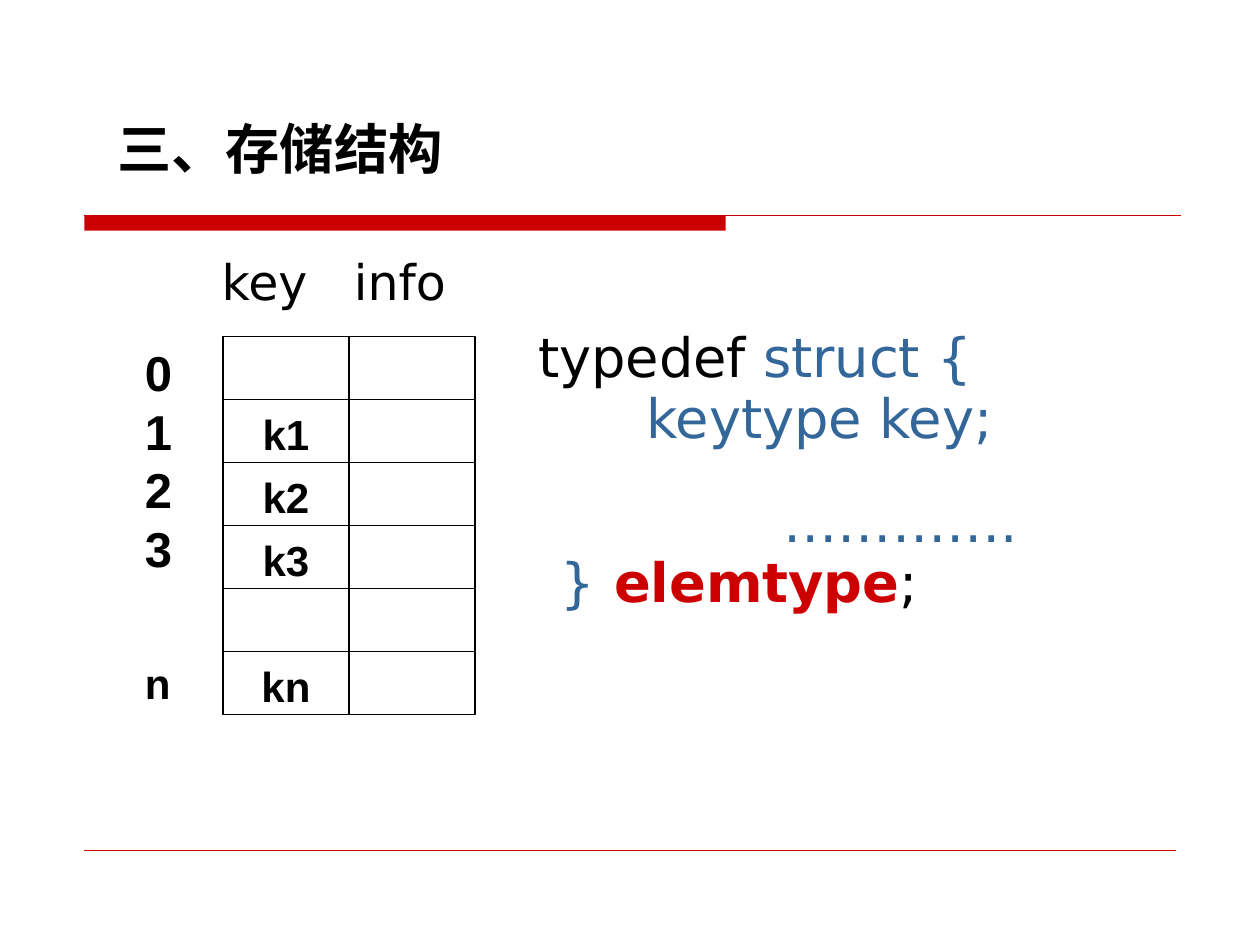
from dataclasses import dataclass

from lxml.etree import SubElement
from pptx import Presentation
from pptx.dml.color import RGBColor
from pptx.enum.shapes import MSO_CONNECTOR, MSO_SHAPE
from pptx.enum.text import MSO_ANCHOR, MSO_AUTO_SIZE, PP_ALIGN
from pptx.oxml.ns import qn
from pptx.util import Inches, Pt


@dataclass(frozen=True)
class Theme:
    black: RGBColor = RGBColor(0, 0, 0)
    white: RGBColor = RGBColor(255, 255, 255)
    red: RGBColor = RGBColor(0xCC, 0, 0)
    blue: RGBColor = RGBColor(0x33, 0x66, 0x99)
    sans: str = "DejaVu Sans"
    arial: str = "Arial"
    title: int = 31
    code: int = 31
    head: int = 28
    cell: int = 24


THEME = Theme()


def style(run, size, color=THEME.black, name=THEME.sans, bold=False):
    font = run.font
    font.size, font.name, font.bold = Pt(size), name, bold
    font.color.rgb = color


def place(shape, left, top, width, height):
    shape.left, shape.top = Inches(left), Inches(top)
    shape.width, shape.height = Inches(width), Inches(height)


def clear(frame, anchor=MSO_ANCHOR.TOP):
    frame.margin_left = frame.margin_right = 0
    frame.margin_top = frame.margin_bottom = 0
    frame.word_wrap = True
    frame.auto_size = MSO_AUTO_SIZE.NONE
    frame.vertical_anchor = anchor


def indent(para, left):
    props = para._p.get_or_add_pPr()
    props.set("marL", str(Inches(left)))
    props.set("indent", "0")
    SubElement(props, qn("a:buNone"))


def add_title(slide, text):
    title = slide.shapes.title
    place(title, 0.93, 0.9, 8.4, 0.55)
    frame = title.text_frame
    clear(frame, MSO_ANCHOR.MIDDLE)
    frame.text = text
    para = frame.paragraphs[0]
    para.alignment = PP_ALIGN.LEFT
    style(para.runs[0], THEME.title, bold=True)


def add_code(slide, lines):
    body = slide.placeholders[1]
    place(body, 4.27, 2.61, 5.1, 2.4)
    frame = body.text_frame
    clear(frame)
    for row, (left, gap, parts) in enumerate(lines):
        para = frame.paragraphs[0] if row == 0 else frame.add_paragraph()
        indent(para, left)
        para.line_spacing, para.space_before = Pt(34), Pt(gap)
        for text, color in parts:
            run = para.add_run()
            run.text = text
            style(run, THEME.code, color, bold=color == THEME.red)


def add_line(slide, left, right, y, width):
    line = slide.shapes.add_connector(
        MSO_CONNECTOR.STRAIGHT, Inches(left), Inches(y), Inches(right), Inches(y))
    line.line.color.rgb = THEME.red
    line.line.width = Pt(width)
    SubElement(line._element.spPr, qn("a:effectLst"))


def add_rect(slide, left, top, width, height, fill):
    rect = slide.shapes.add_shape(
        MSO_SHAPE.RECTANGLE, Inches(left), Inches(top), Inches(width), Inches(height))
    rect.shadow.inherit = False
    rect.fill.solid()
    rect.fill.fore_color.rgb = fill
    return rect


def add_rules(slide):
    bar = add_rect(slide, 0.67, 1.71, 5.09, 0.12, THEME.red)
    bar.line.fill.background()
    add_line(slide, 0.67, 9.37, 1.71, 0.75)
    add_line(slide, 0.67, 9.33, 6.75, 0.25)


def add_cell(slide, left, top, text):
    cell = add_rect(slide, left, top, 1, 0.5, THEME.white)
    cell.line.color.rgb = THEME.black
    cell.line.width = Pt(0.75)
    if text:
        frame = cell.text_frame
        clear(frame, MSO_ANCHOR.MIDDLE)
        frame.margin_top = Inches(0.05)
        frame.text = text
        para = frame.paragraphs[0]
        para.alignment = PP_ALIGN.CENTER
        style(para.runs[0], THEME.cell, name=THEME.arial, bold=True)


def add_grid(slide, keys):
    for col, texts in enumerate((keys, [""] * len(keys))):
        for row, text in enumerate(texts):
            add_cell(slide, 1.77 + col, 2.67 + row * 0.5, text)


def add_box(slide, left, top, width, height):
    box = slide.shapes.add_textbox(
        Inches(left), Inches(top), Inches(width), Inches(height))
    clear(box.text_frame)
    return box.text_frame


def add_heads(slide, names):
    for col, name in enumerate(names):
        frame = add_box(slide, 1.76 + col * 1.05, 2, 1, 0.46)
        frame.text = name
        style(frame.paragraphs[0].runs[0], THEME.head)


def add_index(slide, marks):
    frame = add_box(slide, 1.15, 2.72, 0.5, 2.95)
    frame.text = "\n".join(marks)
    for para in frame.paragraphs:
        para.line_spacing = Pt(33.5)
        style(para.runs[0], THEME.head, name=THEME.arial, bold=True)
    last = frame.paragraphs[-1]
    last.space_before = Pt(41)
    last.runs[0].font.size = Pt(THEME.cell)


def main():
    deck = Presentation()
    deck.slide_width, deck.slide_height = Inches(10), Inches(7.5)
    slide = deck.slides.add_slide(deck.slide_layouts[1])
    add_rules(slide)
    add_title(slide, "三、存储结构")
    add_heads(slide, ["key", "info"])
    add_code(slide, [
        (0, 0, [("typedef ", THEME.black), ("struct {", THEME.blue)]),
        (0.86, 1, [("keytype key;", THEME.blue)]),
        (1.95, 25.5, [("………….", THEME.blue)]),
        (0.18, 0, [("}", THEME.blue), (" elemtype", THEME.red), (";", THEME.black)]),
    ])
    add_grid(slide, ["", "k1", "k2", "k3", "", "kn"])
    add_index(slide, ["0", "1", "2", "3", "n"])
    deck.save("out.pptx")


if __name__ == "__main__":
    main()
